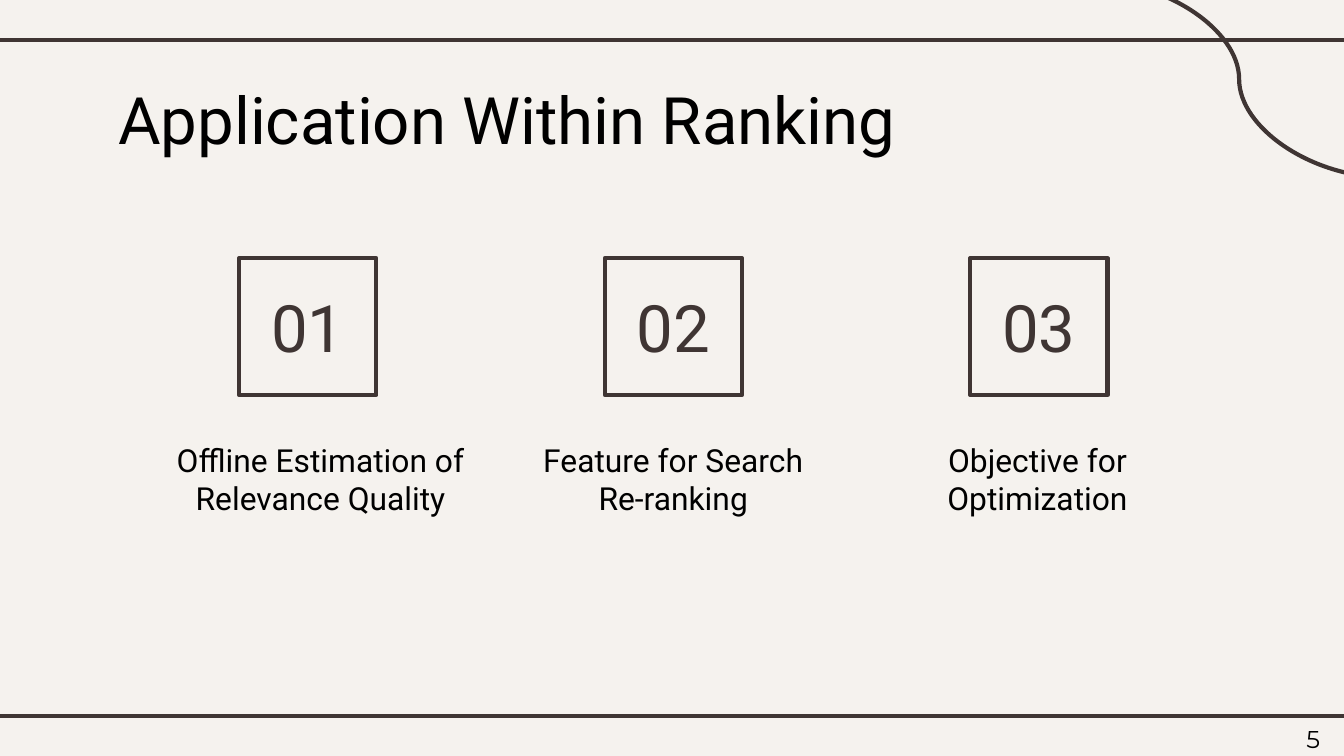
from lxml.etree import SubElement
from pptx import Presentation
from pptx.dml.color import RGBColor
from pptx.enum.shapes import MSO_CONNECTOR, MSO_SHAPE
from pptx.enum.text import MSO_ANCHOR, MSO_AUTO_SIZE, PP_ALIGN
from pptx.oxml.ns import qn
from pptx.util import Inches, Pt

INK, PAPER, BLACK = "3F3533", "F5F2EE", "000000"


def color(value):
    return RGBColor.from_string(value)


def write(sp, text, size=17, font="Roboto", fill=BLACK,
          align=PP_ALIGN.CENTER, anchor=MSO_ANCHOR.TOP):
    tf = sp.text_frame
    tf.word_wrap = True
    tf.auto_size = MSO_AUTO_SIZE.NONE
    tf.vertical_anchor = anchor
    tf.margin_left = tf.margin_right = Inches(0.1)
    tf.margin_top = tf.margin_bottom = Inches(0.1)
    p = tf.paragraphs[0]
    p.alignment = align
    r = p.add_run()
    r.text = text
    r.font.size = Pt(size)
    r.font.name = font
    r.font.color.rgb = color(fill)


class Deck:
    """Holds the line and fill style and the current slide."""

    def __init__(self, prs):
        self.ink, self.paper, self.weight = INK, PAPER, Pt(2.25)
        self.s = prs.slides.add_slide(prs.slide_layouts[5])
        bg = self.s.background.fill
        bg.solid()
        bg.fore_color.rgb = color(self.paper)

    def outline(self, line):
        line.color.rgb = color(self.ink)
        line.width = self.weight

    def line(self, x1, y1, x2, y2, kind=MSO_CONNECTOR.STRAIGHT):
        cxn = self.s.shapes.add_connector(
            kind, Inches(x1), Inches(y1), Inches(x2), Inches(y2))
        self.outline(cxn.line)
        SubElement(cxn._element.spPr, qn("a:effectLst"))

    def title(self, x, y, w, h, text):
        sp = self.s.shapes.title
        sp.left, sp.top, sp.width, sp.height = map(Inches, (x, y, w, h))
        write(sp, text, size=35, align=PP_ALIGN.LEFT)

    def text(self, x, y, w, h, text, parent=None, **style):
        shapes = (parent or self.s).shapes
        sp = shapes.add_textbox(Inches(x), Inches(y), Inches(w), Inches(h))
        write(sp, text, **style)

    def number_box(self, x, y, side, text):
        group = self.s.shapes.add_group_shape()
        sp = group.shapes.add_shape(
            MSO_SHAPE.RECTANGLE, Inches(x), Inches(y), Inches(side), Inches(side))
        sp.shadow.inherit = False
        sp.fill.solid()
        sp.fill.fore_color.rgb = color(self.paper)
        self.outline(sp.line)
        w, h = 1.11, 0.73
        self.text(x + (side - w) / 2, y + (side - h) / 2, w, h, text, parent=group,
                  size=35, fill=self.ink, anchor=MSO_ANCHOR.MIDDLE)


def main():
    prs = Presentation()
    prs.slide_width = Inches(10)
    prs.slide_height = prs.slide_width * 9 // 16
    deck = Deck(prs)

    for y in (0.3, 5.33):
        deck.line(-0.08, y, 10.08, y)
    deck.line(8.13, -0.14, 10.31, 1.32, MSO_CONNECTOR.CURVE)
    deck.title(0.78, 0.49, 6.03, 0.63, "Application Within Ranking")

    uses = [
        (1.19, 2.39, "Offline Estimation of Relevance Quality"),
        (3.91, 2.2, "Feature for Search Re-ranking"),
        (6.62, 2.2, "Objective for Optimization"),
    ]
    for i, (x, w, caption) in enumerate(uses):
        deck.text(x, 3.18, w, 0.54, caption)
        deck.number_box(1.78 + 2.72 * i, 1.92, 1.02, f"{i + 1:02}")

    deck.text(9.32, 5.29, 0.6, 0.43, "5", size=13, font="Montserrat",
              align=PP_ALIGN.RIGHT)
    prs.save("out.pptx")


if __name__ == "__main__":
    main()
